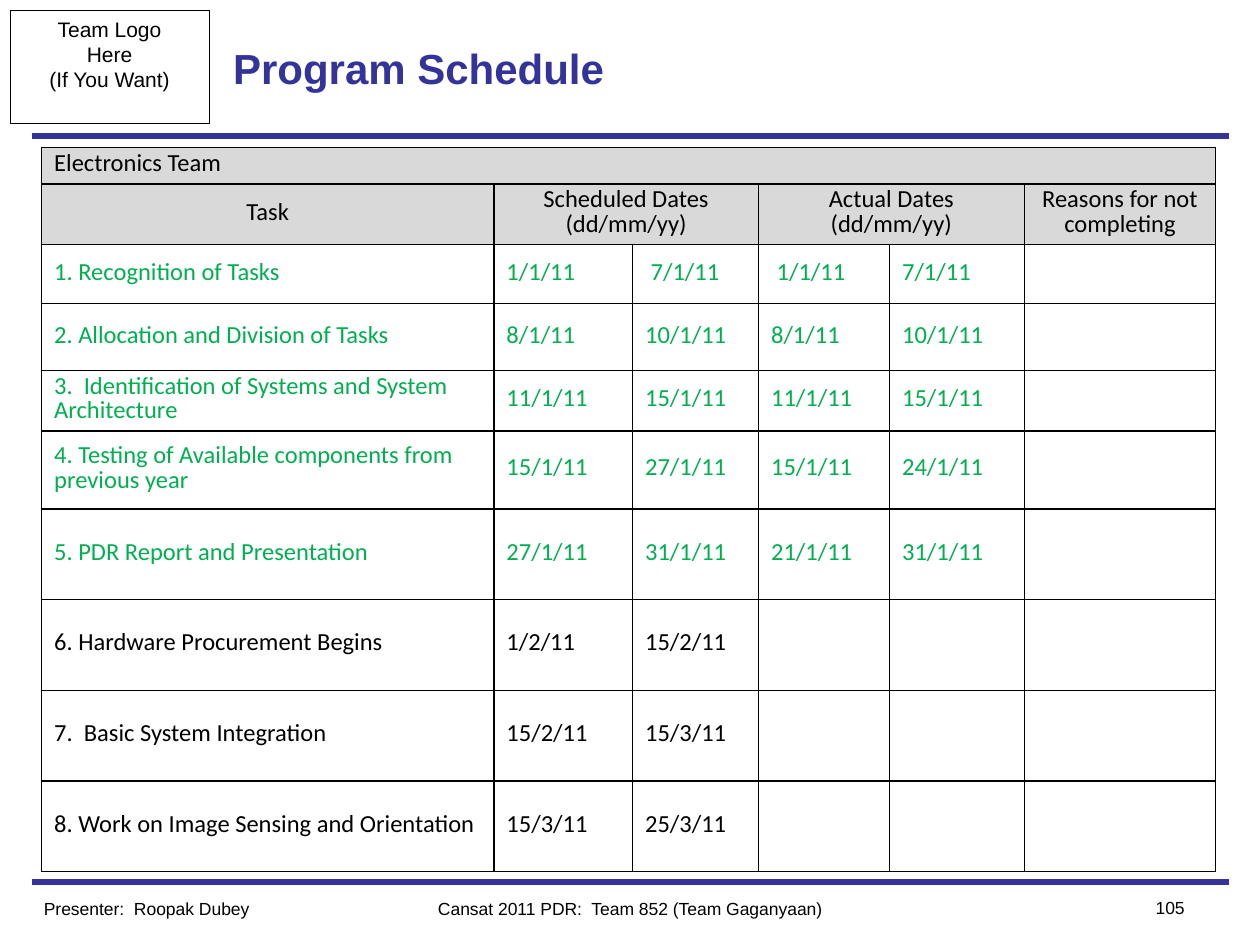
from dataclasses import dataclass

from lxml import etree
from pptx import Presentation
from pptx.dml.color import RGBColor
from pptx.enum.shapes import MSO_CONNECTOR, MSO_SHAPE
from pptx.enum.text import MSO_ANCHOR, PP_ALIGN
from pptx.oxml.ns import qn
from pptx.util import Inches, Pt

LEFT, CENTER, RIGHT = PP_ALIGN.LEFT, PP_ALIGN.CENTER, PP_ALIGN.RIGHT
TOP, MIDDLE = MSO_ANCHOR.TOP, MSO_ANCHOR.MIDDLE
STRAIGHT, RECTANGLE = MSO_CONNECTOR.STRAIGHT, MSO_SHAPE.RECTANGLE


@dataclass(frozen=True)
class Theme:
    accent: str = "333399"
    text: str = "000000"
    done: str = "00B050"
    header: str = "D9D9D9"
    paper: str = "FFFFFF"
    font: str = "Arial"
    table_font: str = "Calibri"
    title_size: int = 24
    table_size: int = 14
    logo_size: int = 12
    footer_size: int = 10


theme = Theme()


def write(tf, lines, size, color=theme.text, font=theme.font, align=LEFT,
          bold=False, spacing=None):
    for i, line in enumerate(lines):
        p = tf.add_paragraph() if i else tf.paragraphs[0]
        p.alignment = align
        if spacing:
            p.line_spacing = spacing
        r = p.add_run()
        r.text = line
        r.font.size = Pt(size)
        r.font.name = font
        r.font.bold = bold
        r.font.color.rgb = RGBColor.from_string(color)


def add_borders(cell):
    tcPr = cell._tc.get_or_add_tcPr()
    for side in ("a:lnL", "a:lnR", "a:lnT", "a:lnB"):
        ln = etree.SubElement(tcPr, qn(side), w=str(Pt(1)))
        fill = etree.SubElement(ln, qn("a:solidFill"))
        etree.SubElement(fill, qn("a:srgbClr"), val=theme.text)


prs = Presentation()
prs.slide_width, prs.slide_height = Inches(10), Inches(7.5)
s = prs.slides.add_slide(prs.slide_layouts[5])

for y in (7, 1.08):
    rule = s.shapes.add_connector(STRAIGHT, Inches(0.25), Inches(y), Inches(9.75), Inches(y))
    rule.line.color.rgb = RGBColor.from_string(theme.accent)
    rule.line.width = Pt(3)
    etree.SubElement(rule._element.spPr, qn("a:effectLst"))

logo = s.shapes.add_shape(RECTANGLE, Inches(0.08), Inches(0.08), Inches(1.58), Inches(0.9))
logo.shadow.inherit = False
logo.fill.background()
logo.line.color.rgb = RGBColor.from_string(theme.text)
logo.line.width = Pt(0.5)
logo.text_frame.word_wrap = False
logo.text_frame.vertical_anchor = TOP
write(logo.text_frame, ["Team Logo", "Here", "(If You Want)"], theme.logo_size, align=CENTER)

title = s.shapes.title
title.left, title.top = Inches(1.75), Inches(0.08)
title.width, title.height = Inches(6.5), Inches(0.92)
title.text_frame.vertical_anchor = MIDDLE
write(title.text_frame, ["Program Schedule"], theme.title_size, theme.accent, bold=True)

footers = [
    ("Presenter:  Roopak Dubey", 0.25, 7.08, 2.5, LEFT),
    ("Cansat 2011 PDR:  Team 852 (Team Gaganyaan)", 3, 7.08, 4, CENTER),
    ("105", 8.75, 7.07, 0.75, RIGHT),
]
for text, x, y, w, align in footers:
    sp = s.shapes.add_textbox(Inches(x), Inches(y), Inches(w), Inches(0.27))
    sp.text_frame.word_wrap = True
    write(sp.text_frame, [text], theme.footer_size, align=align)

rows = [
    ["Electronics Team"],
    ["Task", "Scheduled Dates\n(dd/mm/yy)", "", "Actual Dates\n(dd/mm/yy)", "",
     "Reasons for not completing"],
    ["1. Recognition of Tasks", "1/1/11", " 7/1/11", " 1/1/11", "7/1/11"],
    ["2. Allocation and Division of Tasks", "8/1/11", "10/1/11", "8/1/11", "10/1/11"],
    ["3.  Identification of Systems and System Architecture",
     "11/1/11", "15/1/11", "11/1/11", "15/1/11"],
    ["4. Testing of Available components from previous year",
     "15/1/11", "27/1/11", "15/1/11", "24/1/11"],
    ["5. PDR Report and Presentation", "27/1/11", "31/1/11", "21/1/11", "31/1/11"],
    ["6. Hardware Procurement Begins", "1/2/11", "15/2/11"],
    ["7.  Basic System Integration", "15/2/11", "15/3/11"],
    ["8. Work on Image Sensing and Orientation", "15/3/11", "25/3/11"],
]
col_widths = [3.59, 1.1, 1, 1.04, 1.07, 1.52]
row_heights = [0.29, 0.48, 0.47, 0.53, 0.48, 0.62] + [0.72] * 4

table = s.shapes.add_table(len(rows), len(col_widths), Inches(0.33), Inches(1.17),
                           Inches(9.33), Inches(5.75)).table
table.first_row = table.horz_banding = False
for col, width in zip(table.columns, col_widths):
    col.width = Inches(width)
for row, height in zip(table.rows, row_heights):
    row.height = Inches(height)
for r, first, last in ((0, 0, 5), (1, 1, 2), (1, 3, 4)):
    table.cell(r, first).merge(table.cell(r, last))

for r, values in enumerate(rows):
    header = r < 2
    color = theme.done if len(values) == 5 else theme.text
    for c in range(len(col_widths)):
        cell = table.cell(r, c)
        add_borders(cell)
        cell.fill.solid()
        cell.fill.fore_color.rgb = RGBColor.from_string(theme.header if header else theme.paper)
        cell.vertical_anchor = MIDDLE
        cell.margin_left = cell.margin_right = Inches(0.1)
        cell.margin_top, cell.margin_bottom = Inches(0.03), Inches(0.05)
        if c < len(values) and values[c]:
            write(cell.text_frame, values[c].split("\n"), theme.table_size, color,
                  theme.table_font, CENTER if r == 1 else LEFT, spacing=0.82)

prs.save("out.pptx")
